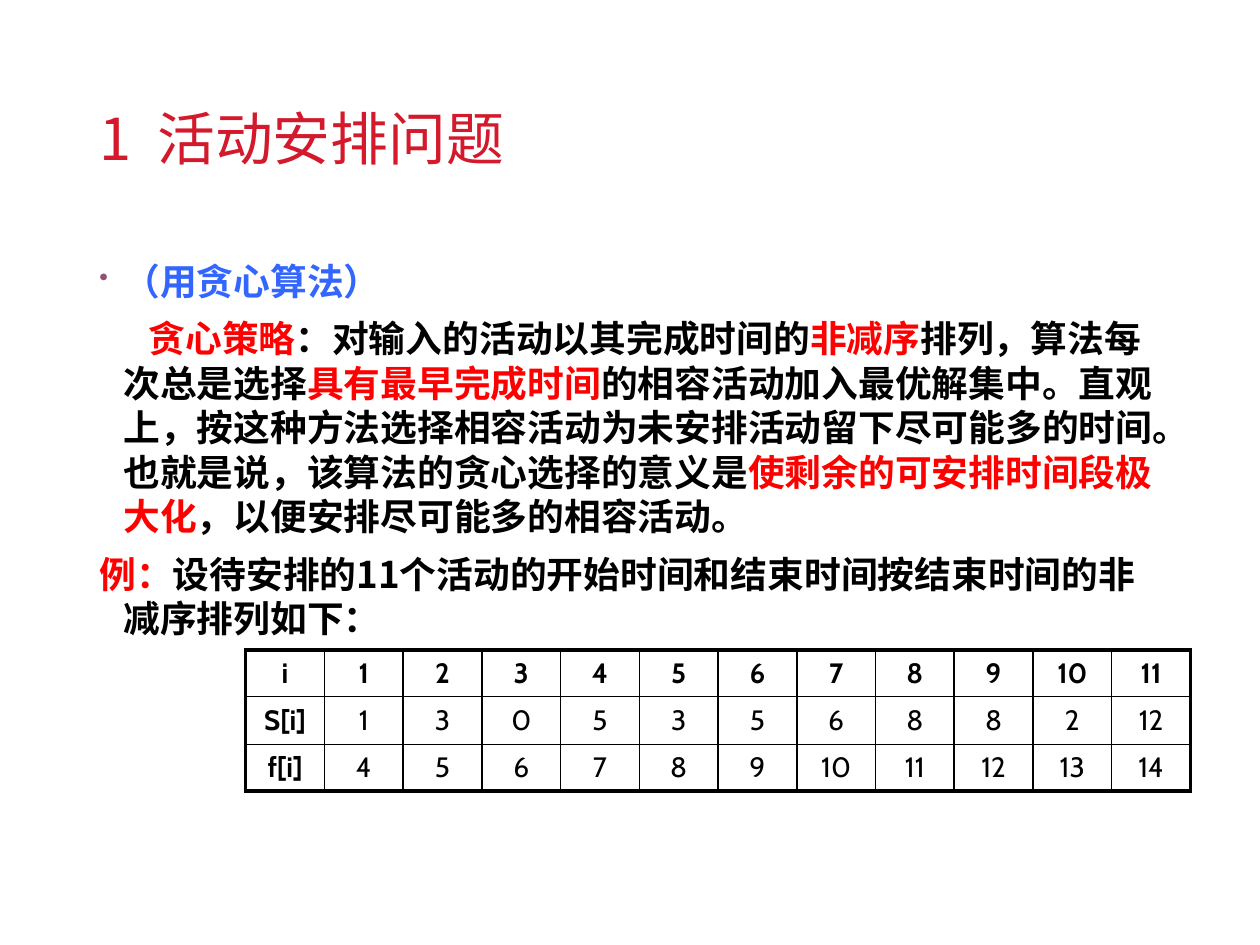
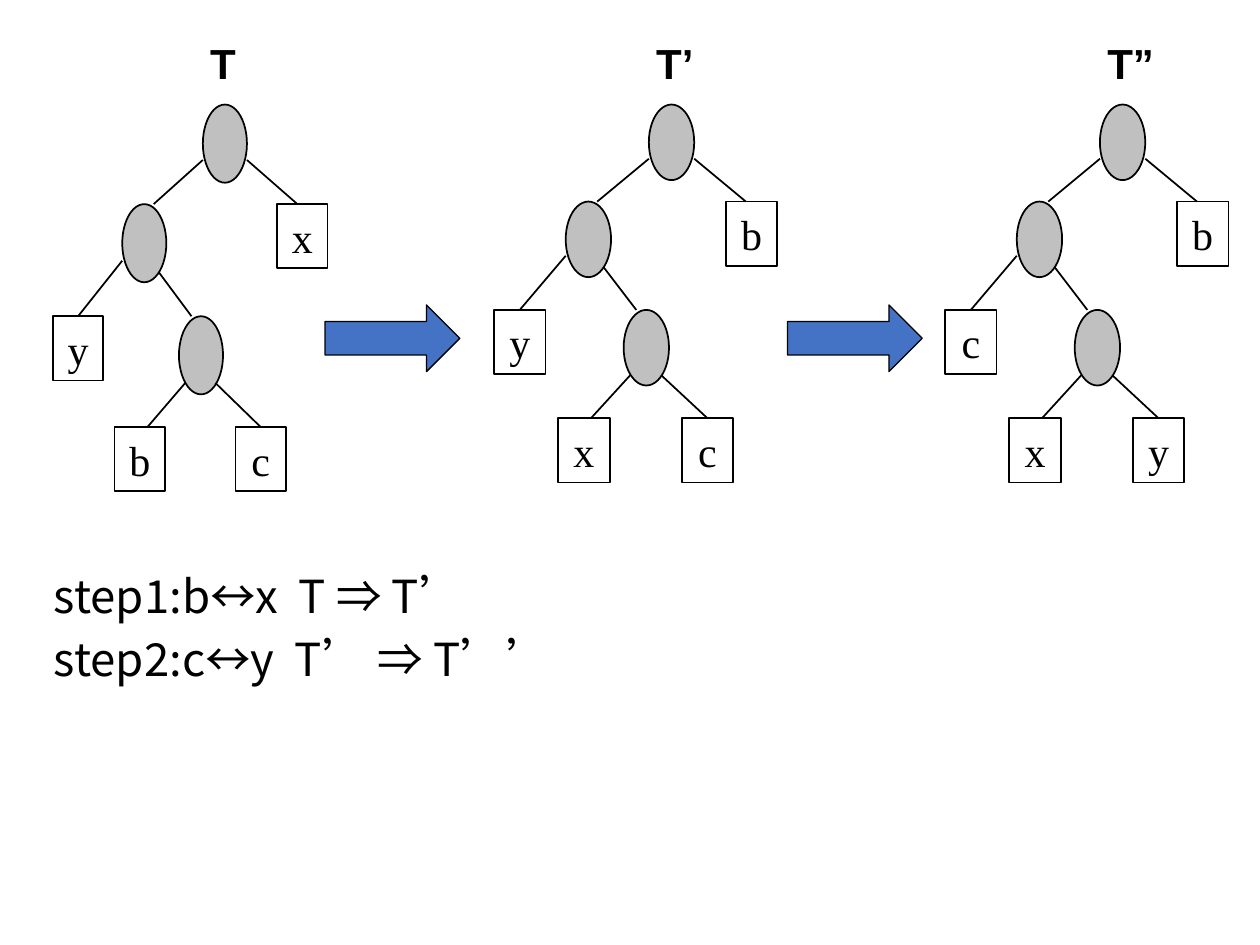
"""Build two slides on greedy algorithms: activity selection and the tree exchange steps."""
from dataclasses import dataclass
from typing import NamedTuple, Optional

from lxml.etree import SubElement
from pptx import Presentation
from pptx.dml.color import RGBColor
from pptx.enum.shapes import MSO_CONNECTOR as Connector, MSO_SHAPE as Preset
from pptx.enum.text import MSO_ANCHOR as Anchor, PP_ALIGN as Align
from pptx.oxml.ns import qn
from pptx.util import Emu, Pt

EMU_PER_PX = 9144
BLACK, RED, BLUE = "000000", "FF0000", "3366FF"
TITLE_RED, BULLET_PURPLE = "D3192B", "954F72"
NODE_GREY, ARROW_BLUE = "C0C0C0", "4472C4"
CJK_SC, CJK_JP = "Noto Sans CJK SC", "Noto Sans CJK JP"
HANGING = 19
PARAGRAPH_GAP = 7.5
THIN, THICK = 1, 2.25


class Box(NamedTuple):
    left: int
    top: int
    width: int
    height: int


class TextStyle(NamedTuple):
    font: str
    size: float
    color: str = BLACK
    bold: bool = False


class Span(NamedTuple):
    text: str
    color: str = BLACK


class BodyParagraph(NamedTuple):
    spans: list[Span]
    first_line: int = -HANGING
    bullet: Optional[str] = None


class Edge(NamedTuple):
    start: tuple[int, int]
    end: tuple[int, int]
    leaf: Optional[int] = None


@dataclass(frozen=True)
class Tree:
    label: str
    leaves: str
    left: int
    x_scale: float = 1
    y_scale: float = 1

    def x(self, offset: int) -> int:
        return self.left + round(offset * self.x_scale)

    def y(self, offset: int) -> int:
        return TREE_TOP + round(offset * self.y_scale)

    def box(self, corner: tuple[int, int], size: tuple[int, int]) -> Box:
        width, height = size
        return Box(self.x(corner[0]), self.y(corner[1]),
                   round(width * self.x_scale), round(height * self.y_scale))


TITLE_STYLE = TextStyle(CJK_SC, 33, TITLE_RED)
BODY_STYLE = TextStyle(CJK_JP, 21, bold=True)
STEP_STYLE = TextStyle(CJK_SC, 26)
CELL_STYLE = TextStyle("Cabin", 16)
LEAF_STYLE = TextStyle("Times New Roman", 24)
LABEL_STYLE = TextStyle("Arial", 24, bold=True)

STRATEGY = [
    BodyParagraph([Span("（用贪心算法）", BLUE)], bullet="•"),
    BodyParagraph([
        Span("贪心策略", RED),
        Span("：对输入的活动以其完成时间的"),
        Span("非减序", RED),
        Span("排列，算法每次总是选择"),
        Span("具有最早完成时间", RED),
        Span("的相容活动加入最优解集中。直观上，按这种方法选择相容活动为未安排活动"
             "留下尽可能多的时间。也就是说，该算法的贪心选择的意义是"),
        Span("使剩余的可安排时间段极大化", RED),
        Span("，以便安排尽可能多的相容活动。"),
    ], first_line=20),
    BodyParagraph([
        Span("例：", RED),
        Span("设待安排的11个活动的开始时间和结束时间按结束时间的非减序排列如下："),
    ]),
]
STEPS = [BodyParagraph([Span("step1:b↔x  T ⇒ T’")]),
         BodyParagraph([Span("step2:c↔y  T’ ⇒ T’’")])]

ACTIVITIES = [
    ["i", *range(1, 12)],
    ["S[i]", 1, 3, 0, 5, 3, 5, 6, 8, 8, 2, 12],
    ["f[i]", *range(4, 15)],
]
TABLE_BOX = Box(195, 516, 750, 112)
ROW_HEIGHTS = (37, 38, 37)

TREE_TOP = 83
LABEL_TOP = 25
LEAF_SIZE, NODE_SIZE = (41, 51), (36, 60)
LEAF_CORNERS = [(0, 163), (51, 249), (149, 249), (184, 77)]
NODE_CORNERS = [(123, 0), (57, 77), (103, 163)]
EDGES = [
    Edge((123, 43), (82, 77)),
    Edge((159, 43), (200, 77)),
    Edge((57, 120), (21, 163), leaf=0),
    Edge((87, 129), (113, 163)),
    Edge((108, 215), (77, 249)),
    Edge((133, 215), (169, 249), leaf=2),
]
TREES = [
    Tree("T", "ybcx", 42, x_scale=0.97, y_scale=1.03),
    Tree("T’", "yxcb", 392),
    Tree("T”", "cxyb", 750),
]
ARROWS = [Box(left, 242, 107, 53) for left in (258, 625)]


def px(length: float) -> Emu:
    """Turn px into EMU."""
    return Emu(round(length * EMU_PER_PX))


def place(box: Box) -> list[Emu]:
    """Turn a box into the four lengths that shapes take."""
    return [px(length) for length in box]


def rgb(color: str) -> RGBColor:
    """Read a hex colour."""
    return RGBColor.from_string(color)


def format_runs(paragraph, style: TextStyle) -> None:
    """Give every run of a paragraph one text style."""
    for run in paragraph.runs:
        font = run.font
        font.name, font.size, font.bold = style.font, Pt(style.size), style.bold
        font.color.rgb = rgb(style.color)
        SubElement(font._element, qn("a:ea"), typeface=style.font)


def add_text(slide, box: Box, text: str, style: TextStyle, anchor=Anchor.TOP):
    """Add a wrapped text box and return its frame."""
    frame = slide.shapes.add_textbox(*place(box)).text_frame
    frame.word_wrap = True
    frame.vertical_anchor = anchor
    frame.text = text
    format_runs(frame.paragraphs[0], style)
    return frame


def add_bullet(paragraph, character: str) -> None:
    """Put a small coloured bullet before a paragraph."""
    properties = paragraph._p.get_or_add_pPr()
    color = SubElement(properties, qn("a:buClr"))
    SubElement(color, qn("a:srgbClr"), val=BULLET_PURPLE)
    SubElement(properties, qn("a:buSzPct"), val="70000")
    SubElement(properties, qn("a:buChar"), char=character)


def add_body(slide, box: Box, content: list[BodyParagraph], style: TextStyle,
             line_height: float) -> None:
    """Add indented body paragraphs with coloured spans."""
    frame = add_text(slide, box, "", style)
    for index, item in enumerate(content):
        paragraph = frame.add_paragraph() if index else frame.paragraphs[0]
        paragraph.space_before = Pt(PARAGRAPH_GAP)
        paragraph.line_spacing = Pt(line_height)
        properties = paragraph._p.get_or_add_pPr()
        properties.set("marL", str(px(HANGING)))
        properties.set("indent", str(px(item.first_line)))
        if item.bullet:
            add_bullet(paragraph, item.bullet)
        for span in item.spans:
            paragraph.add_run().text = span.text
        format_runs(paragraph, style)
        for run, span in zip(paragraph.runs, item.spans):
            run.font.color.rgb = rgb(span.color)


def set_borders(cell, widths: dict[str, float]) -> None:
    """Draw the four black borders of a cell."""
    properties = cell._tc.get_or_add_tcPr()
    for index, (side, width) in enumerate(widths.items()):
        line = SubElement(properties, qn(f"a:ln{side}"), w=str(Pt(width)))
        fill = SubElement(line, qn("a:solidFill"))
        SubElement(fill, qn("a:srgbClr"), val=BLACK)
        properties.insert(index, line)


def add_activity_table(slide) -> None:
    """Add the table of start and finish times with a thick frame."""
    rows, columns = len(ACTIVITIES), len(ACTIVITIES[0])
    table = slide.shapes.add_table(rows, columns, *place(TABLE_BOX)).table
    table.first_row = table.horz_banding = False
    for column in table.columns:
        column.width = px(TABLE_BOX.width / columns)
    for row, values in enumerate(ACTIVITIES):
        table.rows[row].height = px(ROW_HEIGHTS[row])
        for column, value in enumerate(values):
            cell = table.cell(row, column)
            cell.fill.background()
            cell.vertical_anchor = Anchor.MIDDLE
            cell.text_frame.text = str(value)
            paragraph = cell.text_frame.paragraphs[0]
            paragraph.alignment = Align.CENTER
            format_runs(paragraph, CELL_STYLE._replace(bold=row == 0 or column == 0))
            outer = {"L": column == 0, "R": column == columns - 1,
                     "T": row == 0, "B": row == rows - 1}
            set_borders(cell, {side: THICK if edge else THIN
                               for side, edge in outer.items()})


def add_preset(slide, preset, box: Box, fill: Optional[str] = None,
               line_width: float = THIN):
    """Add an outlined preset shape without a shadow."""
    shape = slide.shapes.add_shape(preset, *place(box))
    shape.shadow.inherit = False
    if fill:
        shape.fill.solid()
        shape.fill.fore_color.rgb = rgb(fill)
    else:
        shape.fill.background()
    shape.line.color.rgb = rgb(BLACK)
    shape.line.width = Pt(line_width)
    return shape


def add_leaf(slide, box: Box, letter: str):
    """Add a square leaf holding one letter."""
    leaf = add_preset(slide, Preset.RECTANGLE, box)
    leaf.text_frame.text = letter
    leaf.text_frame.vertical_anchor = Anchor.MIDDLE
    paragraph = leaf.text_frame.paragraphs[0]
    paragraph.alignment = Align.CENTER
    format_runs(paragraph, LEAF_STYLE)
    return leaf


def add_tree(slide, tree: Tree) -> None:
    """Draw a labelled tree with its leaves, nodes and edges."""
    leaves = [add_leaf(slide, tree.box(corner, LEAF_SIZE)._replace(height=LEAF_SIZE[1]), letter)
              for corner, letter in zip(LEAF_CORNERS, tree.leaves)]
    for corner in NODE_CORNERS:
        add_preset(slide, Preset.OVAL, tree.box(corner, NODE_SIZE), NODE_GREY)
    for edge in EDGES:
        ends = [px(length) for x, y in (edge.start, edge.end)
                for length in (tree.x(x), tree.y(y))]
        line = slide.shapes.add_connector(Connector.STRAIGHT, *ends)
        line.line.color.rgb = rgb(BLACK)
        line.line.width = Pt(THIN)
        SubElement(line._element.spPr, qn("a:effectLst"))
        if edge.leaf is not None:
            line.end_connect(leaves[edge.leaf], 0)
    add_text(slide, Box(tree.x(119), LABEL_TOP, 58, 50), tree.label, LABEL_STYLE)


def build_activity_slide(slide) -> None:
    """Build the activity selection slide."""
    title = add_text(slide, Box(69, 40, 862, 145), "1  活动安排问题", TITLE_STYLE, Anchor.MIDDLE)
    title.paragraphs[0].line_spacing = 0.9
    add_body(slide, Box(69, 200, 862, 476), STRATEGY, BODY_STYLE, 25.4)
    add_activity_table(slide)


def build_exchange_slide(slide) -> None:
    """Build the slide of trees and exchange steps."""
    add_body(slide, Box(33, 450, 933, 217), STEPS, STEP_STYLE, 28.4)
    for tree in TREES:
        add_tree(slide, tree)
    for box in ARROWS:
        add_preset(slide, Preset.RIGHT_ARROW, box, ARROW_BLUE, 0.75)


def main() -> None:
    """Build and save the presentation."""
    presentation = Presentation()
    presentation.slide_width, presentation.slide_height = px(1000), px(750)
    blank = presentation.slide_layouts[6]
    for build in (build_activity_slide, build_exchange_slide):
        build(presentation.slides.add_slide(blank))
    presentation.save("out.pptx")


if __name__ == "__main__":
    main()
